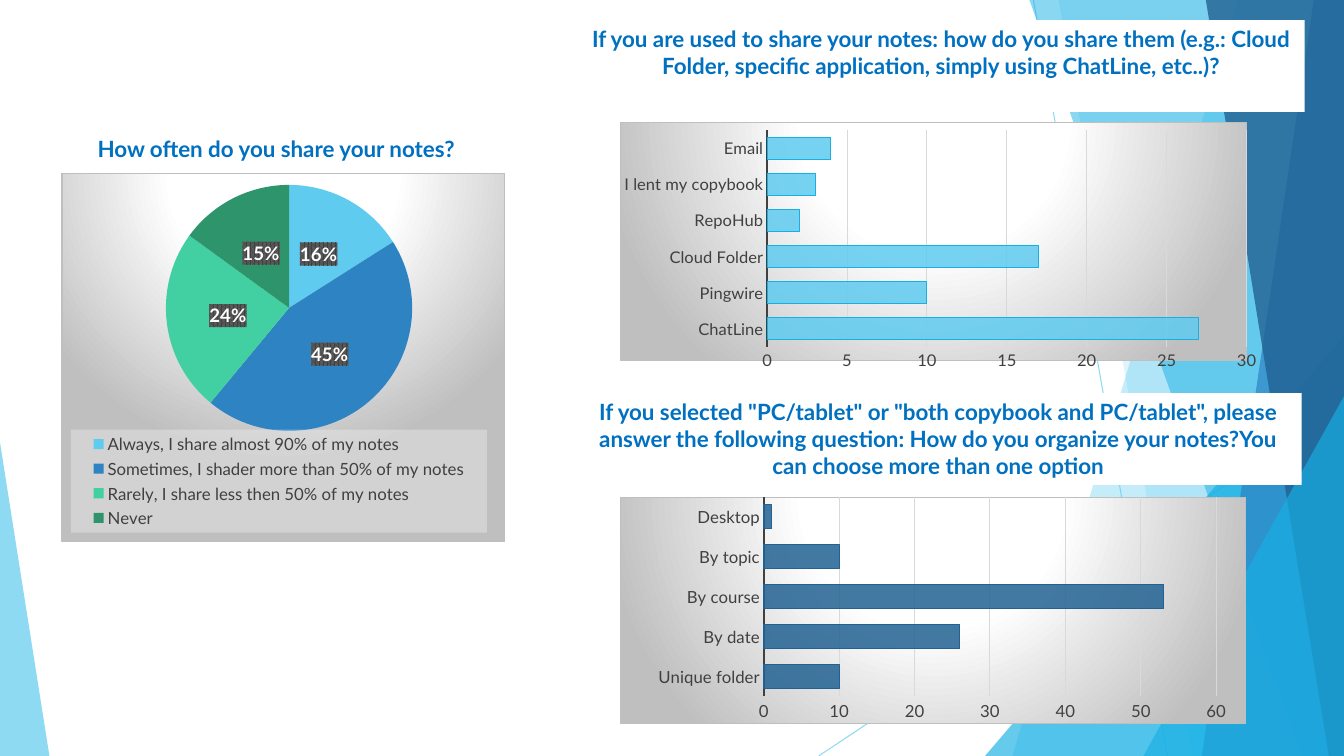
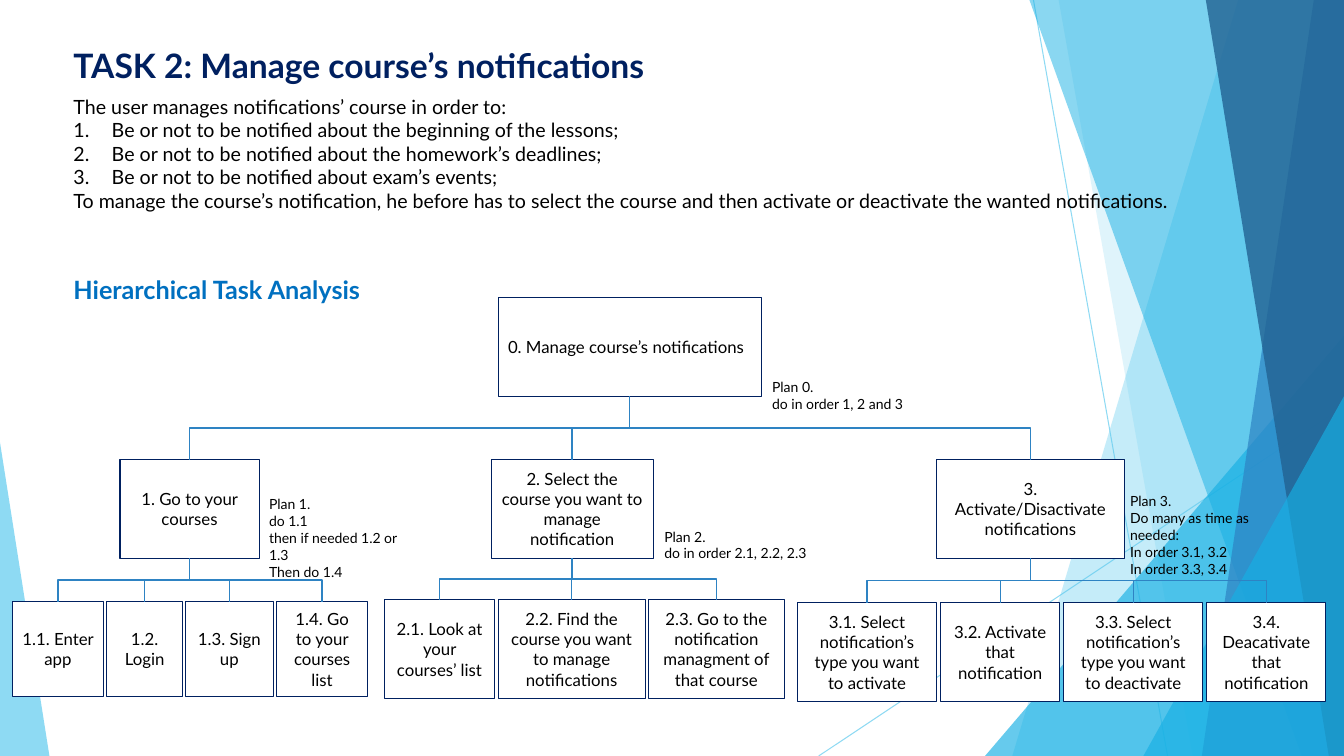
"""Builds two slides: survey charts on sharing notes, and a hierarchical task analysis."""
from lxml import etree
from pptx import Presentation
from pptx.chart.data import CategoryChartData
from pptx.dml.color import RGBColor
from pptx.enum.chart import XL_CHART_TYPE, XL_LABEL_POSITION, XL_LEGEND_POSITION, XL_TICK_MARK
from pptx.enum.shapes import MSO_CONNECTOR, MSO_SHAPE
from pptx.enum.text import MSO_ANCHOR, PP_ALIGN
from pptx.oxml import parse_xml
from pptx.oxml.ns import nsdecls, qn
from pptx.util import Inches, Pt

PIE, BAR = XL_CHART_TYPE.PIE, XL_CHART_TYPE.BAR_CLUSTERED
LABEL_CENTER, LEGEND_RIGHT = XL_LABEL_POSITION.CENTER, XL_LEGEND_POSITION.RIGHT
NO_TICK = XL_TICK_MARK.NONE
STRAIGHT, ELBOW = MSO_CONNECTOR.STRAIGHT, MSO_CONNECTOR.ELBOW
RECTANGLE, TRIANGLE = MSO_SHAPE.RECTANGLE, MSO_SHAPE.ISOSCELES_TRIANGLE
MIDDLE, TOP = MSO_ANCHOR.MIDDLE, MSO_ANCHOR.TOP
LEFT, CENTER = PP_ALIGN.LEFT, PP_ALIGN.CENTER

SKY = RGBColor(0x5F, 0xCB, 0xEF)
CYAN = RGBColor(0x17, 0xB0, 0xE4)
BLUE = RGBColor(0x2E, 0x83, 0xC3)
DEEP = RGBColor(0x22, 0x62, 0x92)
MINT = RGBColor(0x42, 0xD0, 0xA2)
GREEN = RGBColor(0x2E, 0x94, 0x6B)
NAVY = RGBColor(0x00, 0x20, 0x60)
HEADING = RGBColor(0x00, 0x70, 0xC0)
BLACK = RGBColor(0x00, 0x00, 0x00)
WHITE = RGBColor(0xFF, 0xFF, 0xFF)
DARK = RGBColor(0x40, 0x40, 0x40)
GRID = RGBColor(0xD9, 0xD9, 0xD9)

FONT = "Lato"
WIDTH, HEIGHT = 13.33, 7.5
QUESTION = {"size": Pt(16), "bold": True, "color": HEADING}
TITLE = {"size": Pt(24), "bold": True, "color": NAVY}
SUBTITLE = {"size": Pt(18), "bold": True, "color": HEADING}
BODY = {"size": Pt(14), "color": BLACK}
NODE = {"size": Pt(12), "color": BLACK}
PLAN = {"size": Pt(10), "color": BLACK}
AXIS = {"size": Pt(12), "color": DARK}
LABEL = {"size": Pt(13.3), "bold": True, "color": WHITE}

RAYS = [((10.25, 0), (11.58, HEIGHT)), ((WIDTH, 4.03), (8.12, HEIGHT))]
BANDS = [
    ("band", (12.28, 10.04), SKY, 36),
    ("band", (10.5, 11.83), SKY, 20),
    ("triangle", (9.77, 3.33, 3.56, 4.17, 1), CYAN, 66),
    ("band", (10.21, 12.91), CYAN, 50),
    ("band", (13.03, 11.92), BLUE, 70),
    ("band", (11.96, 13.18), DEEP, 80),
    ("triangle", (11.34, 3.93, 1.99, 3.57, 1), CYAN, 66),
    ("triangle", (0, 4.39, 0.49, 3.11, 0), SKY, 70),
]

SHARE_TITLE = "How often do you share your notes?"
SHARES = [
    ("Always, I share almost 90% of my notes", 16, SKY),
    ("Sometimes, I shader more than 50% of my notes", 45, BLUE),
    ("Rarely, I share less then 50% of my notes", 24, MINT),
    ("Never", 15, GREEN),
]
BAR_CHARTS = [
    {
        "title": "If you are used to share your notes: how do you share them (e.g.: "
                 "Cloud Folder, specific application, simply using ChatLine, etc..)?",
        "title_at": (5.73, 0.2, 7.21, 0.91),
        "at": (6.15, 1.21, 6.31, 2.46),
        "plot": (0.277, 0.032, 0.766, 0.909),
        "values": [("ChatLine", 27), ("Pingwire", 10), ("Cloud Folder", 17),
                   ("RepoHub", 2), ("I lent my copybook", 3), ("Email", 4)],
        "scale": (30, 5),
        "fill": SKY,
        "line": CYAN,
    },
    {
        "title": 'If you selected "PC/tablet" or "both copybook and PC/tablet", please answer '
                 "the following question: How do you organize your notes?You can choose "
                 "more than one option",
        "title_at": (5.7, 3.9, 7.21, 0.91),
        "at": (6.15, 4.92, 6.21, 2.26),
        "plot": (0.229, 0, 0.724, 0.882),
        "values": [("Unique folder", 10), ("By date", 26), ("By course", 53),
                   ("By topic", 10), ("Desktop", 1)],
        "scale": (60, 10),
        "fill": DEEP,
        "line": DEEP,
    },
]

TASK_TITLE = "TASK 2: Manage course’s notifications"
TASK_INTRO = "The user manages notifications’ course in order to:"
TASK_GOALS = [
    "Be or not to be notified about the beginning of the lessons;",
    "Be or not to be notified about the homework’s deadlines;",
    "Be or not to be notified about exam’s events;",
]
TASK_NOTE = ("To manage the course’s notification, he before has to select the course "
             "and then activate or deactivate the wanted notifications.")
ROOT = ("0. Manage course’s notifications", (4.94, 2.95, 2.61, 0.98))
BRANCHES = [
    {
        "node": ("1. Go to your courses", (1.19, 4.56, 1.38, 0.98)),
        "start": (0.12, 5.97), "gap": 0.03, "height": 0.94,
        "steps": [("1.1. Enter app", 0.91), ("1.2. Login", 0.75), ("1.3. Sign up", 0.87),
                  ("1.4. Go to your courses list", 0.91)],
    },
    {
        "node": ("2. Select the course you want to manage notification", (4.87, 4.56, 1.61, 0.98)),
        "start": (3.81, 5.95), "gap": 0.03, "height": 0.98,
        "steps": [("2.1. Look at your courses’ list", 1.1),
                  ("2.2. Find the course you want to manage notifications", 1.46),
                  ("2.3. Go to the notification managment of that course", 1.35)],
    },
    {
        "node": ("3. Activate/Disactivate notifications", (9.29, 4.56, 1.86, 0.98)),
        "start": (7.91, 5.98), "gap": 0.04, "height": 0.98,
        "steps": [("3.1. Select notification’s type you want to activate", 1.38),
                  ("3.2. Activate that notification", 1.18),
                  ("3.3. Select notification’s type you want to deactivate", 1.38),
                  ("3.4. Deacativate that notification", 1.18)],
    },
]
PLANS = [
    ((7.56, 3.71, 1.59, 0.44), ["Plan 0.", "do in order 1, 2 and 3"]),
    ((2.57, 4.87, 1.61, 0.77), ["Plan 1.", "do 1.1", "then if needed 1.2 or 1.3", "Then do 1.4"]),
    ((6.49, 5.19, 2.4, 0.44), ["Plan 2.", "do in order 2.1, 2.2, 2.3"]),
    ((11.11, 4.84, 1.81, 0.77), ["Plan 3.", "Do many as time as needed:",
                                 "In order 3.1, 3.2", "In order 3.3, 3.4"]),
]


def inches(values):
    return [Inches(value) for value in values]


def style(font, look):
    font.name = FONT
    for key, value in look.items():
        if key == "color":
            font.color.rgb = value
        else:
            setattr(font, key, value)


def set_alpha(owner, percent):
    for color in owner.iter(qn("a:srgbClr")):
        etree.SubElement(color, qn("a:alpha")).set("val", str(percent * 1000))


def paint(shape, fill=None, line=None):
    shape.shadow.inherit = False
    if fill is None:
        shape.fill.background()
    else:
        shape.fill.solid()
        shape.fill.fore_color.rgb = fill
    if line is None:
        shape.line.fill.background()
    else:
        shape.line.color.rgb = line
        shape.line.width = Pt(0.75)


def write(shape, lines, look, align=LEFT, anchor=TOP, numbered=()):
    frame = shape.text_frame
    frame.word_wrap = True
    frame.vertical_anchor = anchor
    for index, line in enumerate(lines):
        para = frame.paragraphs[0] if index == 0 else frame.add_paragraph()
        para.alignment = align
        if line in numbered:
            properties = para._p.get_or_add_pPr()
            properties.set("marL", str(Inches(0.38)))
            properties.set("indent", str(-Inches(0.38)))
            etree.SubElement(properties, qn("a:buAutoNum")).set("type", "arabicPeriod")
        span = para.add_run()
        span.text = line
        style(span.font, look)


def add_text(page, at, lines, look, **options):
    write(page.shapes.add_textbox(*inches(at)), lines, look, **options)


def add_box(page, at, text, look, fill=WHITE, line=None, **options):
    box = page.shapes.add_shape(RECTANGLE, *inches(at))
    paint(box, fill, line)
    write(box, [text], look, **options)
    return box


def add_line(page, kind, start, end, color, width):
    line = page.shapes.add_connector(kind, *inches(start + end))
    line.line.color.rgb = color
    line.line.width = Pt(width)
    etree.SubElement(line._element.spPr, qn("a:effectLst"))
    return line


def add_page(deck):
    page = deck.slides.add_slide(deck.slide_layouts[6])
    for start, end in RAYS:
        set_alpha(add_line(page, STRAIGHT, start, end, SKY, 0.75)._element, 70)
    for kind, place, color, alpha in BANDS:
        if kind == "triangle":
            band = page.shapes.add_shape(TRIANGLE, *inches(place[:4]))
            band.adjustments[0] = place[4]
        else:
            upper, lower = place
            outline = page.shapes.build_freeform(Inches(upper), 0)
            corners = [(WIDTH, 0), (WIDTH, HEIGHT), (lower, HEIGHT)]
            outline.add_line_segments([inches(corner) for corner in corners])
            band = outline.convert_to_shape()
        paint(band, color)
        set_alpha(band._element, alpha)
    return page


def manual_layout(place, inner=False):
    target = '<c:layoutTarget val="inner"/>' if inner else ""
    modes = '<c:xMode val="edge"/><c:yMode val="edge"/>'
    sizes = "".join(f'<c:{key} val="{value}"/>' for key, value in zip("xywh", place))
    return parse_xml(f'<c:layout {nsdecls("c")}><c:manualLayout>{target}{modes}{sizes}'
                     "</c:manualLayout></c:layout>")


def shape_format(content):
    return parse_xml(f'<c:spPr {nsdecls("c", "a")}>{content}</c:spPr>')


def add_chart(page, kind, at, values, plot_place):
    data = CategoryChartData()
    data.categories = [name for name, _ in values]
    data.add_series("Series 1", [value for _, value in values])
    chart = page.shapes.add_chart(kind, *inches(at), data).chart
    chart.has_title = False
    chart.has_legend = False
    style(chart.font, {"size": Pt(10), "color": BLACK})
    stops = "".join(f'<a:gs pos="{place}"><a:srgbClr val="{color}"/></a:gs>'
                    for place, color in ((0, "FFFFFF"), (39000, "FFFFFF"), (100000, "BFBFBF")))
    root = chart._chartSpace
    root.find(qn("c:chart")).addnext(shape_format(
        f'<a:gradFill><a:gsLst>{stops}</a:gsLst><a:path path="circle">'
        '<a:fillToRect l="50000" t="-80000" r="50000" b="180000"/></a:path></a:gradFill>'
        '<a:ln w="9525"><a:solidFill><a:srgbClr val="BFBFBF"/></a:solidFill></a:ln>'))
    area = next(root.iter(qn("c:plotArea")))
    for old in area.findall(qn("c:layout")):
        area.remove(old)
    area.insert(0, manual_layout(plot_place, inner=True))
    chart.plots[0].vary_by_categories = kind == PIE
    return chart


def add_pie(page):
    values = [(name, value) for name, value, _ in SHARES]
    chart = add_chart(page, PIE, (0.61, 1.72, 4.4, 3.66), values, (0.221, 0.03, 0.584, 0.669))
    series = chart.plots[0].series[0]
    for index, (_, _, color) in enumerate(SHARES):
        fill = series.points[index].format.fill
        fill.solid()
        fill.fore_color.rgb = color
    labels = series.data_labels
    for key, value in {"show_percentage": True, "show_value": False, "number_format": "0%",
                       "number_format_is_linked": False, "position": LABEL_CENTER}.items():
        setattr(labels, key, value)
    style(labels.font, LABEL)
    labels._element.find(qn("c:numFmt")).addnext(shape_format(
        '<a:pattFill prst="pct75"><a:fgClr><a:srgbClr val="404040"/></a:fgClr>'
        '<a:bgClr><a:srgbClr val="595959"/></a:bgClr></a:pattFill>'))
    chart.has_legend = True
    legend = chart.legend
    legend.position = LEGEND_RIGHT
    legend.include_in_layout = False
    style(legend.font, AXIS)
    root = legend._element
    for old in root.findall(qn("c:layout")):
        root.remove(old)
    root.find(qn("c:legendPos")).addnext(manual_layout((0.02, 0.695, 0.94, 0.28)))
    root.find(qn("c:overlay")).addnext(shape_format(
        '<a:solidFill><a:srgbClr val="F2F2F2"><a:alpha val="39000"/></a:srgbClr></a:solidFill>'))


def add_bars(page, spec_row):
    chart = add_chart(page, BAR, spec_row["at"], spec_row["values"], spec_row["plot"])
    chart.plots[0].gap_width = 65
    series = chart.plots[0].series[0]
    series.format.fill.solid()
    series.format.fill.fore_color.rgb = spec_row["fill"]
    set_alpha(series._element, 85)
    series.format.line.color.rgb = spec_row["line"]
    series.format.line.width = Pt(0.75)
    names, scale = chart.category_axis, chart.value_axis
    for axis in (names, scale):
        axis.major_tick_mark = axis.minor_tick_mark = NO_TICK
        style(axis.tick_labels.font, AXIS)
    names.format.line.color.rgb = DARK
    names.format.line.width = Pt(1.5)
    scale.format.line.fill.background()
    scale.minimum_scale = 0
    scale.maximum_scale, scale.major_unit = spec_row["scale"]
    scale.major_gridlines.format.line.color.rgb = GRID
    scale.major_gridlines.format.line.width = Pt(0.75)


def join(page, parent, child):
    line = add_line(page, ELBOW, (0, 0), (1, 1), BLUE, 1)
    line.begin_connect(parent, 2)
    line.end_connect(child, 0)
    start_x, end_x = (box.left + box.width // 2 for box in (parent, child))
    start_y, end_y = parent.top + parent.height, child.top
    drop, reach = end_y - start_y, abs(end_x - start_x)
    line.left, line.top = (start_x + end_x - drop) // 2, (start_y + end_y - reach) // 2
    line.width, line.height = drop, reach
    rightward = end_x > start_x
    frame = line._element.spPr.find(qn("a:xfrm"))
    for key, value in {"rot": "16200000" if rightward else "5400000",
                       "flipH": "1" if rightward else "0", "flipV": "0"}.items():
        frame.set(key, value)


def build_survey(deck):
    page = add_page(deck)
    add_text(page, (0.87, 1.29, 4.13, 0.37), [SHARE_TITLE], QUESTION)
    add_pie(page)
    for row in BAR_CHARTS:
        add_box(page, row["title_at"], row["title"], QUESTION, align=CENTER)
        add_bars(page, row)


def build_task(deck):
    page = add_page(deck)
    add_text(page, (0.63, 0.4, 6.42, 0.5), [TASK_TITLE], TITLE)
    add_text(page, (0.63, 0.89, 11.56, 1.28), [TASK_INTRO, *TASK_GOALS, TASK_NOTE], BODY,
             numbered=TASK_GOALS)
    add_text(page, (0.63, 2.67, 3.33, 0.4), [SUBTITLE_TEXT], SUBTITLE)
    look = {"line": NAVY, "anchor": MIDDLE}
    root = add_box(page, ROOT[1], ROOT[0], NODE, **look)
    for branch in BRANCHES:
        text, at = branch["node"]
        parent = add_box(page, at, text, NODE, align=CENTER, **look)
        join(page, root, parent)
        left, top = branch["start"]
        for step, width in branch["steps"]:
            child = add_box(page, (left, top, width, branch["height"]), step, NODE,
                            align=CENTER, **look)
            join(page, parent, child)
            left += width + branch["gap"]
    for at, lines in PLANS:
        add_text(page, at, lines, PLAN)


SUBTITLE_TEXT = "Hierarchical Task Analysis"


def main():
    deck = Presentation()
    deck.slide_width, deck.slide_height = Inches(WIDTH), Inches(HEIGHT)
    build_survey(deck)
    build_task(deck)
    deck.save("out.pptx")


if __name__ == "__main__":
    main()
